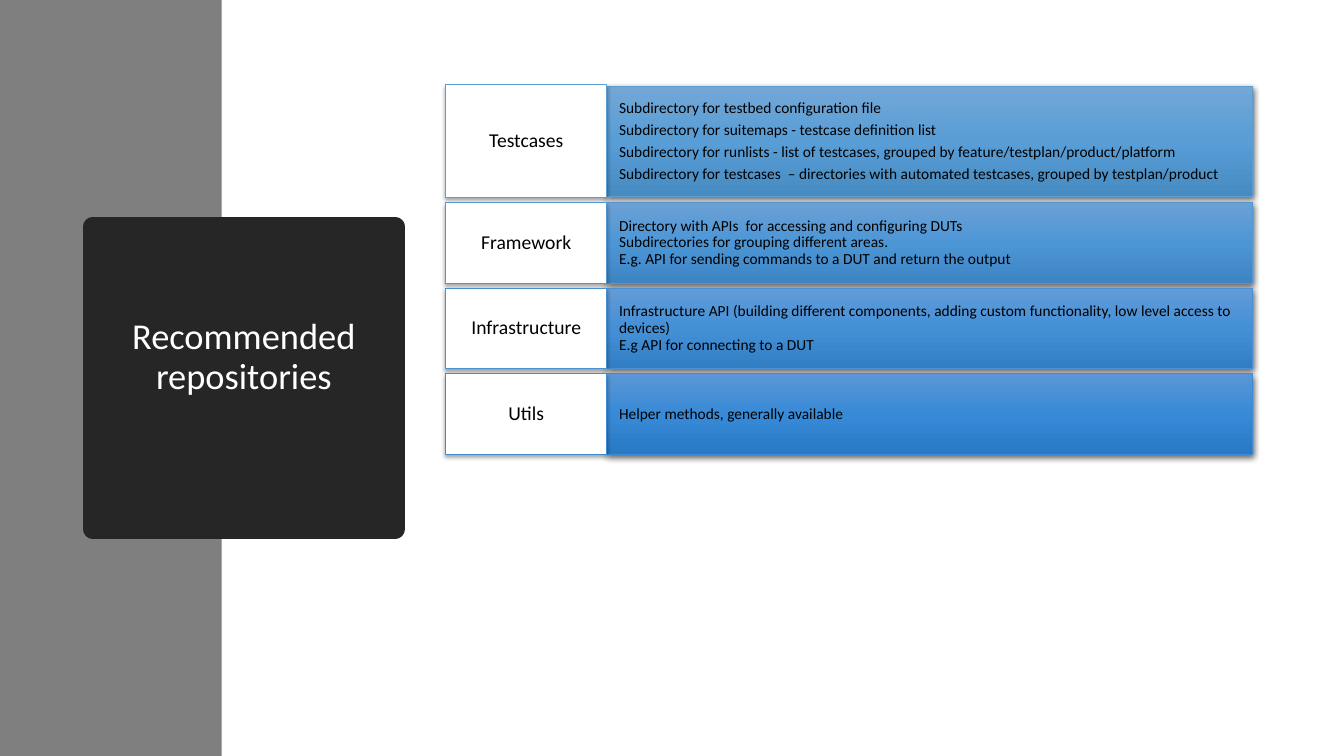
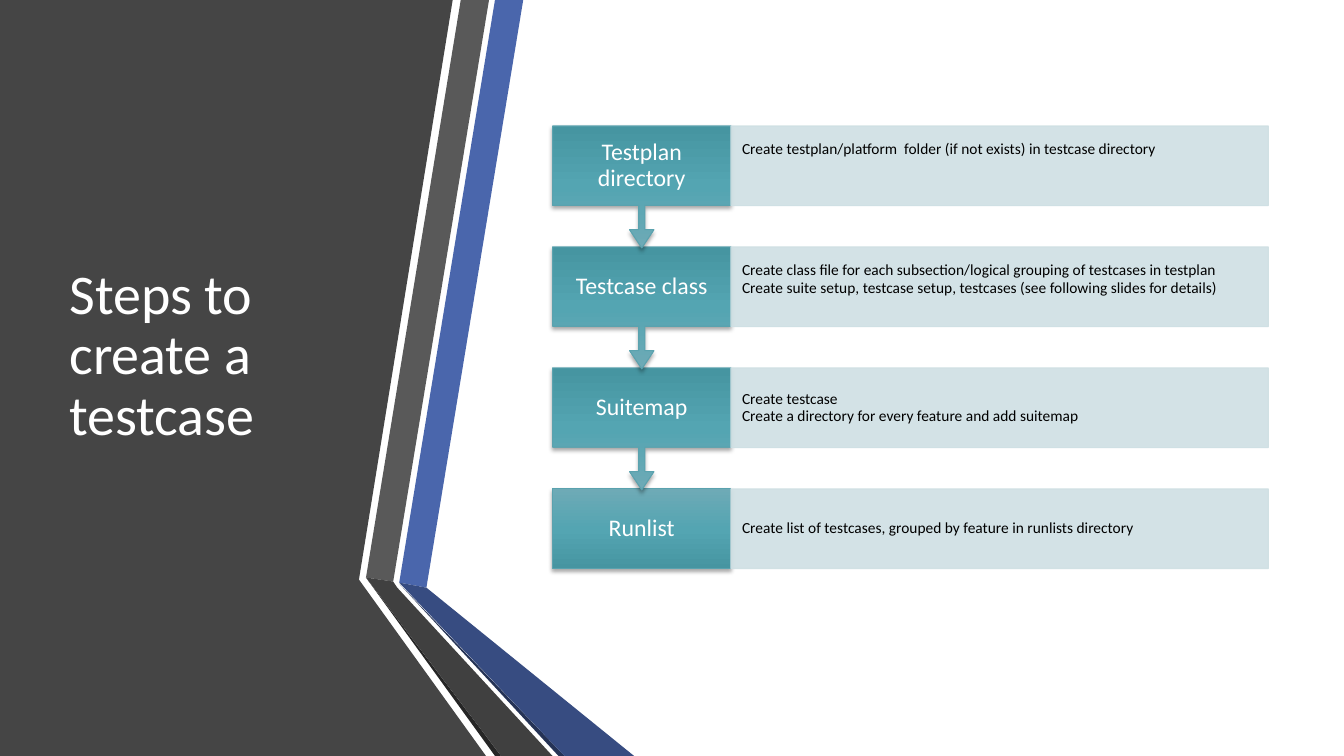
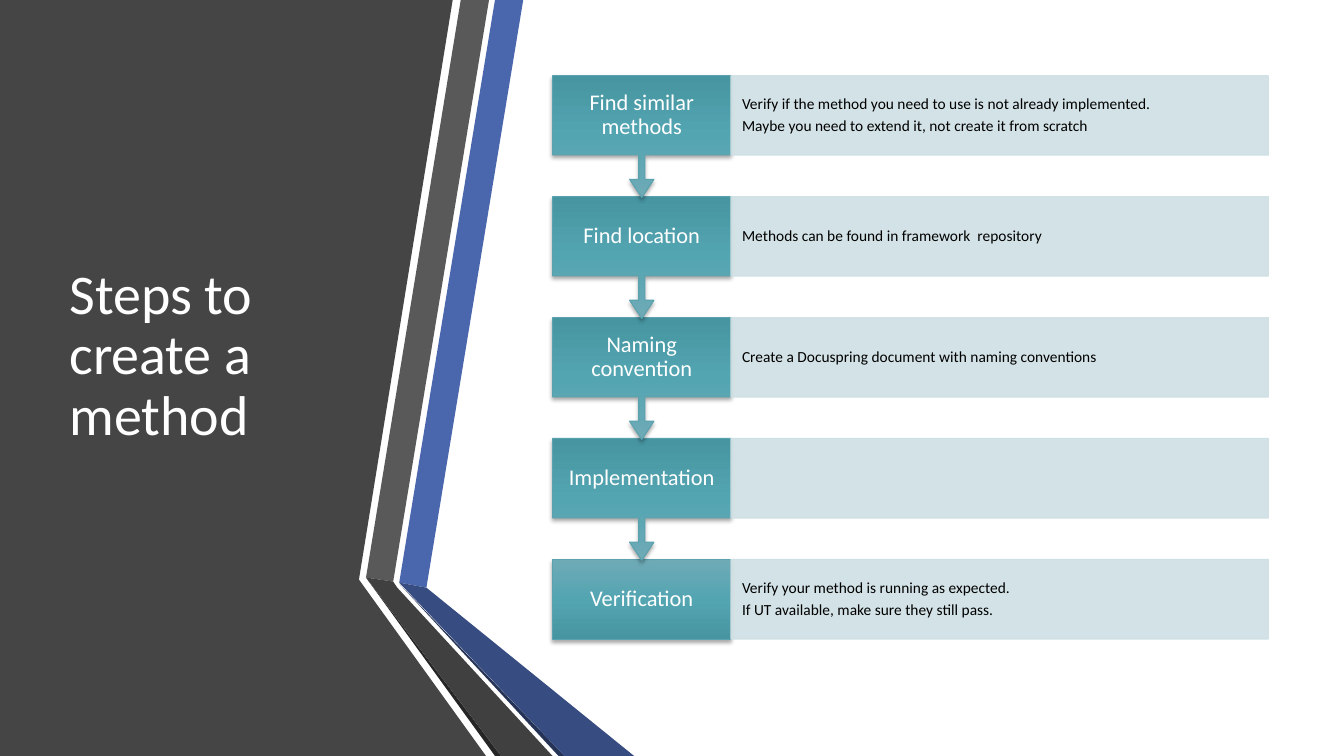
from dataclasses import dataclass

from lxml.etree import SubElement
from pptx import Presentation
from pptx.dml.color import RGBColor
from pptx.enum.shapes import MSO_SHAPE
from pptx.enum.text import MSO_ANCHOR, PP_ALIGN
from pptx.oxml.ns import qn
from pptx.util import Inches, Pt

COLORS = {
    "white": "FFFFFF",
    "black": "000000",
    "side_band": "7F7F7F",
    "title_card": "262626",
    "panel": "454545",
    "blue": "4A66AC",
    "blue_fold": "374C81",
    "blue_edge": "253356",
    "gray": "595959",
    "gray_fold": "404040",
    "gray_edge": "262626",
    "teal_line": "5AA2AE",
    "teal_pale": "CEDFE3",
}
FONT = "Calibri"
SLIDE_WIDTH, SLIDE_HEIGHT = 13.33, 7.5
TEAL_GRADIENT = ("6EAAB6", "54A5B2", "4695A1")


@dataclass(frozen=True)
class Area:
    left: float
    top: float
    width: float
    height: float

    def lengths(self) -> tuple:
        return tuple(Inches(v) for v in (self.left, self.top, self.width, self.height))


@dataclass(frozen=True)
class TextStyle:
    size: float
    color: str
    insets: tuple = (0.1, 0.05, 0.1, 0.05)  # left, top, right, bottom
    align: PP_ALIGN = PP_ALIGN.LEFT
    anchor: MSO_ANCHOR = MSO_ANCHOR.MIDDLE
    gap: float = 0  # points between paragraphs


@dataclass(frozen=True)
class Shadow:
    opacity: int
    blur: float
    distance: float


@dataclass(frozen=True)
class Repository:
    name: str
    lines: tuple
    gradient: tuple
    line: str
    height: float = 0.8
    body_height: float = 0.8
    gap: float = 0


@dataclass(frozen=True)
class Step:
    name: str
    lines: tuple = ()
    gap: float = 0
    anchor: MSO_ANCHOR = MSO_ANCHOR.MIDDLE


@dataclass(frozen=True)
class Ribbon:
    color: str
    points: tuple


SOFT_SHADOW = Shadow(35, 3.1, 1.8)
STRONG_SHADOW = Shadow(62, 4.5, 1.5)

# Side panel with its folded ribbons, from back to front
RIBBONS = (
    Ribbon("panel", ((0, 0), (4.49, 0), (3.56, 5.75), (4.82, 7.5), (0, 7.5))),
    Ribbon("blue", ((3.96, 5.78), (4.23, 5.83), (5.19, 0), (4.91, 0))),
    Ribbon("gray", ((4.85, 0), (4.57, 0), (3.63, 5.73), (3.9, 5.77))),
    Ribbon("gray_edge", ((3.63, 5.73), (4.91, 7.5), (4.97, 7.5))),
    Ribbon("blue_edge", ((3.96, 5.79), (5.54, 7.5), (5.6, 7.5))),
    Ribbon("blue_fold", ((3.96, 5.78), (5.6, 7.5), (6.29, 7.5), (4.23, 5.83))),
    Ribbon("gray_fold", ((5.48, 7.5), (3.94, 5.83), (3.9, 5.77), (3.63, 5.73), (4.97, 7.5))),
)

REPOSITORIES = (
    Repository(
        "Testcases",
        (
            "Subdirectory for testbed configuration file",
            "Subdirectory for suitemaps - testcase definition list",
            "Subdirectory for runlists - list of testcases, grouped by feature/testplan/product/platform",
            "Subdirectory for testcases  – directories with automated testcases, grouped by testplan/product",
        ),
        ("73A7D6", "589DD6", "478BC3"), "5F9DD1", height=1.12, body_height=1.09, gap=3.9,
    ),
    Repository(
        "Framework",
        (
            "Directory with APIs  for accessing and configuring DUTs",
            "Subdirectories for grouping different areas.",
            "E.g. API for sending commands to a DUT and return the output",
        ),
        ("6BA1D5", "4D96D6", "3D84C3"), "5596D0",
    ),
    Repository(
        "Infrastructure",
        (
            "Infrastructure API (building different components, adding custom functionality, "
            "low level access to devices)",
            "E.g API for connecting to a DUT",
        ),
        ("639BD7", "4390D7", "327EC5"), "4A90D1",
    ),
    Repository(
        "Utils", ("Helper methods, generally available",),
        ("5C96D6", "378AD7", "2879C6"), "3F8AD1",
    ),
)

TESTCASE_STEPS = (
    Step(
        "Testplan directory",
        ("Create testplan/platform  folder (if not exists) in testcase directory",),
        anchor=MSO_ANCHOR.TOP,
    ),
    Step(
        "Testcase class",
        (
            "Create class file for each subsection/logical grouping of testcases in testplan",
            "Create suite setup, testcase setup, testcases (see following slides for details)",
        ),
        gap=1.4, anchor=MSO_ANCHOR.TOP,
    ),
    Step("Suitemap", ("Create testcase", "Create a directory for every feature and add suitemap")),
    Step("Runlist", ("Create list of testcases, grouped by feature in runlists directory",)),
)

METHOD_STEPS = (
    Step(
        "Find similar methods",
        (
            "Verify if the method you need to use is not already implemented.",
            "Maybe you need to extend it, not create it from scratch",
        ),
        gap=3.9,
    ),
    Step("Find location", ("Methods can be found in framework  repository",)),
    Step("Naming convention", ("Create a Docuspring document with naming conventions",)),
    Step("Implementation"),
    Step(
        "Verification",
        ("Verify your method is running as expected.", "If UT available, make sure they still pass."),
        gap=3.9,
    ),
)


def rgb(color: str) -> RGBColor:
    return RGBColor.from_string(COLORS.get(color, color))


def write(shape, lines: tuple, style: TextStyle) -> None:
    frame = shape.text_frame
    frame.text = "\n".join(lines)
    frame.word_wrap = True
    frame.vertical_anchor = style.anchor
    frame.margin_left, frame.margin_top, frame.margin_right, frame.margin_bottom = (
        Inches(inset) for inset in style.insets
    )
    for index, para in enumerate(frame.paragraphs):
        para.alignment = style.align
        para.line_spacing = 0.9
        para.space_before = Pt(style.gap if index else 0)
        for span in para.runs:
            span.font.name = FONT
            span.font.size = Pt(style.size)
            span.font.color.rgb = rgb(style.color)


def add_text(page, area: Area, text: str, style: TextStyle) -> None:
    write(page.shapes.add_textbox(*area.lengths()), (text,), style)


def set_gradient(shape, stops: tuple) -> None:
    shape.fill.gradient()
    shape.fill.gradient_angle = 270
    stop_list = shape.element.spPr.find(".//" + qn("a:gsLst"))
    for stop in list(stop_list):
        stop_list.remove(stop)
    for index, color in enumerate(stops):
        stop = SubElement(stop_list, qn("a:gs"), pos=str(index * 50000))
        SubElement(stop, qn("a:srgbClr"), val=color)


def set_opacity(shape, percent: int) -> None:
    for color in shape.element.spPr.iter(qn("a:srgbClr")):
        SubElement(color, qn("a:alpha"), val=str(percent * 1000))


def set_shadow(shape, shadow: Shadow) -> None:
    effects = shape.element.spPr.find(qn("a:effectLst"))
    outer = SubElement(
        effects, qn("a:outerShdw"), blurRad=str(Pt(shadow.blur)),
        dist=str(Pt(shadow.distance)), dir="5400000", rotWithShape="0",
    )
    color = SubElement(outer, qn("a:srgbClr"), val=COLORS["black"])
    SubElement(color, qn("a:alpha"), val=str(shadow.opacity * 1000))


def add_box(page, area: Area, fill: str | tuple, line: str | None = None,
            line_width: float = 0.75, shadow: Shadow | None = None,
            kind: MSO_SHAPE = MSO_SHAPE.RECTANGLE):
    """Add a shape; a tuple of colours as fill makes a vertical gradient."""
    box = page.shapes.add_shape(kind, *area.lengths())
    if isinstance(fill, tuple):
        set_gradient(box, fill)
    else:
        box.fill.solid()
        box.fill.fore_color.rgb = rgb(fill)
    if line:
        box.line.color.rgb = rgb(line)
        box.line.width = Pt(line_width)
    else:
        box.line.fill.background()
    box.shadow.inherit = False
    if shadow:
        set_shadow(box, shadow)
    return box


def add_ribbon(page, ribbon: Ribbon) -> None:
    start, *others = [(Inches(x), Inches(y)) for x, y in ribbon.points]
    builder = page.shapes.build_freeform(*start)
    builder.add_line_segments(others, close=True)
    shape = builder.convert_to_shape()
    shape.fill.solid()
    shape.fill.fore_color.rgb = rgb(ribbon.color)
    shape.line.fill.background()
    shape.shadow.inherit = False


def add_page(deck):
    return deck.slides.add_slide(deck.slide_layouts[6])


def add_repositories_page(deck) -> None:
    page = add_page(deck)

    # Side band and title card
    add_box(page, Area(0, 0, 2.2, SLIDE_HEIGHT), "side_band")
    card = add_box(page, Area(0.92, 2.25, 3, 3), "title_card", "title_card", 13.75)
    title_style = TextStyle(26, "white", (0.1, 0.05, 0.1, 0.45), PP_ALIGN.CENTER)
    write(card, ("Recommended repositories",), title_style)

    # Rows of name and contents
    left, name_width, body_width, row_gap = 4.42, 1.6, 6.4, 0.05
    name_style = TextStyle(14, "black", (0.08,) * 4, PP_ALIGN.CENTER)
    top = 0.84
    for row in REPOSITORIES:
        body_top = top + (row.height - row.body_height) / 2
        body = add_box(page, Area(left + name_width, body_top, body_width, row.body_height),
                       row.gradient, row.line, shadow=STRONG_SHADOW)
        write(body, row.lines, TextStyle(11, "black", (0.12, 0.2, 0.12, 0.2), gap=row.gap))
        name = add_box(page, Area(left, top, name_width, row.height),
                       "white", row.line, shadow=SOFT_SHADOW)
        write(name, (row.name,), name_style)
        top += row.height + row_gap


def add_steps_page(deck, title: str, steps: tuple, first_top: float, name_size: float) -> None:
    page = add_page(deck)

    # Side panel and title
    for ribbon in RIBBONS:
        add_ribbon(page, ribbon)
    add_text(page, Area(0.59, 0.75, 3.04, 5.58), title, TextStyle(40, "white"))

    # Steps, last one first so that each arrow overlaps the next step
    left, name_width, body_width, height, pitch = 5.48, 1.77, 5.33, 0.79, 1.2
    name_style = TextStyle(name_size, "white", (0.13,) * 4, PP_ALIGN.CENTER)
    for index, step in reversed(list(enumerate(steps))):
        top = first_top + index * pitch
        name_area = Area(left, top, name_width, height)
        if step is steps[-1]:
            add_box(page, name_area, TEAL_GRADIENT, "teal_line", shadow=SOFT_SHADOW)
        else:
            callout = add_box(page, Area(left, top, name_width, 1.21), TEAL_GRADIENT, "teal_line",
                              shadow=SOFT_SHADOW, kind=MSO_SHAPE.UP_ARROW_CALLOUT)
            callout.rotation = 180
            for position, value in enumerate((0.05, 0.1, 0.15, 0.65)):
                callout.adjustments[position] = value
        add_text(page, name_area, step.name, name_style)
        body = add_box(page, Area(left + name_width, top, body_width, height),
                       "teal_pale", "teal_pale")
        set_opacity(body, 89)
        if step.lines:
            write(body, step.lines, TextStyle(11, "black", (0.11, 0.15, 0.11, 0.15),
                                              anchor=step.anchor, gap=step.gap))


def main() -> None:
    deck = Presentation()
    deck.slide_width, deck.slide_height = Inches(SLIDE_WIDTH), Inches(SLIDE_HEIGHT)
    add_repositories_page(deck)
    add_steps_page(deck, "Steps to create a testcase", TESTCASE_STEPS, 1.25, 17)
    add_steps_page(deck, "Steps to create a method", METHOD_STEPS, 0.75, 16)
    deck.save("out.pptx")


if __name__ == "__main__":
    main()
